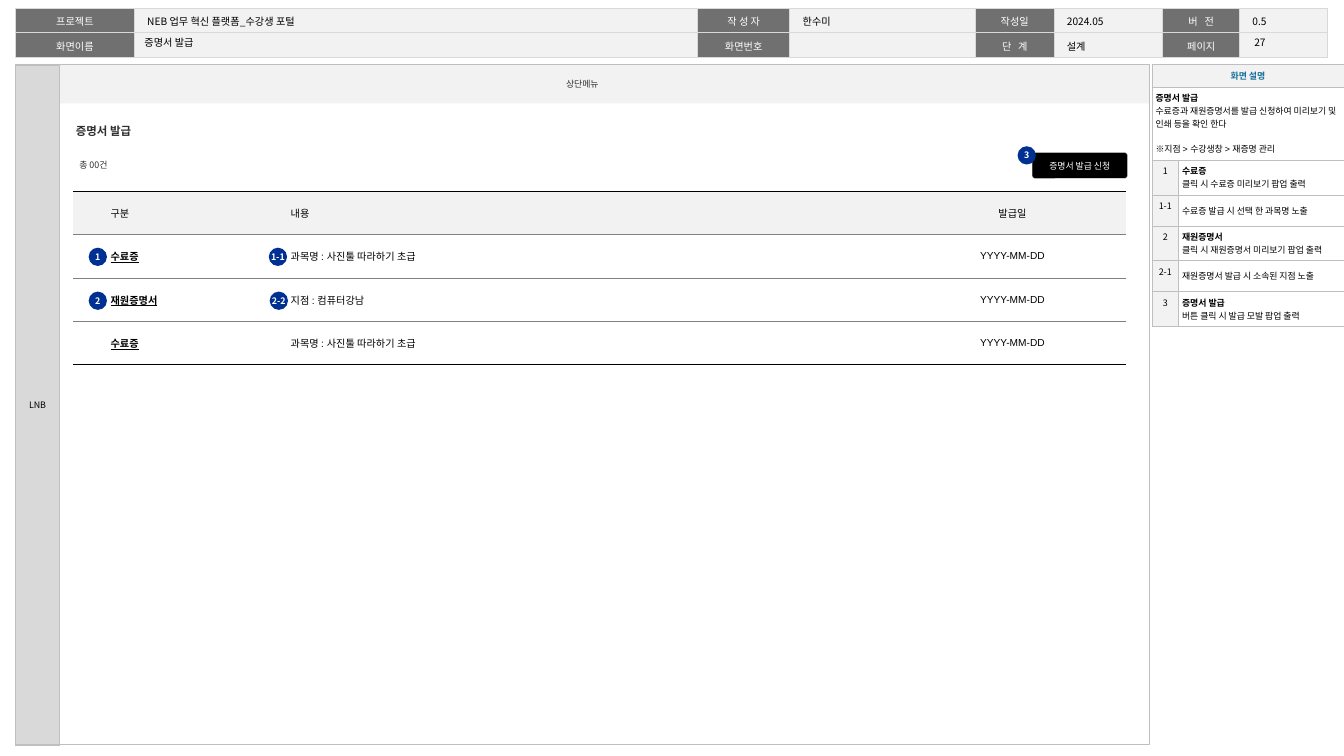
"""Build the certificate-issue screen specification slide."""
from lxml.etree import SubElement
from pptx import Presentation
from pptx.dml.color import RGBColor
from pptx.enum.shapes import MSO_SHAPE
from pptx.enum.text import MSO_ANCHOR, MSO_AUTO_SIZE, PP_ALIGN
from pptx.oxml.ns import qn
from pptx.util import Inches, Pt

COLORS = {
    "black": "000000", "white": "FFFFFF", "ink": "2E2E2E", "label": "707070",
    "pale": "F2F2F2", "menu": "D9D9D9", "edge": "BFBFBF", "rule": "808080",
    "teal": "176F9B", "badge": "003192",
}
NOTO, ARIAL = "Noto Sans CJK KR", "Arial"
LEFT, CENTER = PP_ALIGN.LEFT, PP_ALIGN.CENTER
TOP, MIDDLE = MSO_ANCHOR.TOP, MSO_ANCHOR.MIDDLE

TITLE = "증명서 발급"
PAGE = "27"
TOP_MENU = "상단메뉴"
SIDE_MENU = "LNB"
TOTAL = "총 00건"
APPLY = "증명서 발급 신청"
DOCUMENT = [
    ["프로젝트", "NEB 업무 혁신 플랫폼_수강생 포털", "작 성 자", "한수미",
     "작성일", "2024.05", "버 전", "0.5"],
    ["화면이름", "", "화면번호", "", "단 계", "설계", "페이지", ""],
]
WIDE_LABELS = ("버 전", "단 계")
CERTIFICATES = [
    ["", "구분", "내용", "발급일"],
    ["", "수료증", "과목명 : 사진툴 따라하기 초급", "YYYY-MM-DD"],
    ["", "재원증명서", "지점 : 컴퓨터강남", "YYYY-MM-DD"],
    ["", "수료증", "과목명 : 사진툴 따라하기 초급", "YYYY-MM-DD"],
]
GUIDE_TITLE = "화면 설명"
OVERVIEW = ["증명서 발급", "수료증과 재원증명서를 발급 신청하여 미리보기 및 인쇄 등을 확인 한다",
            "※지점 > 수강생창 > 재증명 관리"]
GUIDE = [
    ("1", ["수료증", "클릭 시 수료증 미리보기 팝업 출력"]),
    ("1-1", ["수료증 발급 시 선택 한 과목명 노출"]),
    ("2", ["재원증명서", "클릭 시 재원증명서 미리보기 팝업 출력"]),
    ("2-1", ["재원증명서 발급 시 소속된 지점 노출"]),
    ("3", ["증명서 발급", "버튼 클릭 시 발급 모발 팝업 출력"]),
]
BADGES = [("1", 0.97, 2.71), ("2", 0.97, 3.19), ("3", 11.13, 1.6),
          ("1-1", 2.94, 2.71), ("2-2", 2.95, 3.19)]


def rgb(name):
    return RGBColor.from_string(COLORS[name])


def write(host, lines, size=7, color="black", face=NOTO, align=LEFT, anchor=MIDDLE,
          insets=(0, 0, 0, 0), bold=False, underline=False, spacing=None, tracking=0):
    host.margin_left, host.margin_top, host.margin_right, host.margin_bottom = map(Inches, insets)
    host.vertical_anchor = anchor
    frame = getattr(host, "text_frame", host)
    for index, line in enumerate(lines):
        paragraph = frame.add_paragraph() if index else frame.paragraphs[0]
        paragraph.alignment = align
        if spacing:
            paragraph.line_spacing = spacing
        if not line:
            paragraph._p.get_or_add_endParaRPr().set("sz", str(size * 100))
            continue
        run = paragraph.add_run()
        run.text = line
        font = run.font
        font.size, font.name, font.underline = Pt(size), face, underline
        font.bold = bold or (index == 0 and len(lines) > 1)
        font.color.rgb = rgb(color)
        properties = run._r.get_or_add_rPr()
        SubElement(properties, qn("a:ea")).set("typeface", NOTO)
        if tracking:
            properties.set("spc", str(tracking))


def style_cell(cell, fill, **edges):
    properties = cell._tc.get_or_add_tcPr()
    for side in "LRTB":
        color, width = edges.get(side, (None, 0))
        line = SubElement(properties, qn(f"a:ln{side}"), w=str(Pt(width)))
        if color:
            SubElement(SubElement(line, qn("a:solidFill")), qn("a:srgbClr"), val=COLORS[color])
        else:
            SubElement(line, qn("a:noFill"))
    cell.fill.solid()
    cell.fill.fore_color.rgb = rgb(fill)


def boxed(color, width):
    return dict.fromkeys("LRTB", (color, width))


def add_grid(slide, left, top, widths, heights):
    table = slide.shapes.add_table(len(heights), len(widths), Inches(left), Inches(top),
                                   Inches(sum(widths)), Inches(sum(heights))).table
    table.first_row = table.horz_banding = False
    for column, width in zip(table.columns, widths):
        column.width = Inches(width)
    for row, height in zip(table.rows, heights):
        row.height = Inches(height)
    return table


def add_block(slide, kind, area, fill=None, line=None, width=0.25):
    block = slide.shapes.add_shape(kind, *map(Inches, area))
    block.shadow.inherit = False
    if fill:
        block.fill.solid()
        block.fill.fore_color.rgb = rgb(fill)
    else:
        block.fill.background()
    if line:
        block.line.color.rgb = rgb(line)
        block.line.width = Pt(width)
    else:
        block.line.fill.background()
    block.text_frame.word_wrap = False
    return block


def add_text(slide, area, text, **style):
    frame = slide.shapes.add_textbox(*map(Inches, area)).text_frame
    frame.word_wrap = True
    write(frame, [text], **style)


def add_document_header(slide):
    table = add_grid(slide, 0.17, 0.09, [1.3, 6.16, 1.01, 2.03, 0.86, 1.19, 0.84, 0.96], [0.27] * 2)
    for r, row in enumerate(DOCUMENT):
        for c, text in enumerate(row):
            label = c % 2 == 0
            cell = table.cell(r, c)
            style_cell(cell, "label" if label else "pale", **boxed("menu", 1))
            write(cell, [text], 8, "white" if label else "black", anchor=TOP, spacing=1.05,
                  align=CENTER if label else LEFT, insets=(0.14, 0.05, 0.14, 0.05),
                  tracking=180 if text in WIDE_LABELS else 0)


def add_screen_frame(slide):
    menu = add_block(slide, MSO_SHAPE.RECTANGLE, (0.17, 0.71, 12.4, 0.42), "pale")
    write(menu.text_frame, [TOP_MENU], color="ink", face=ARIAL, align=CENTER)
    side = add_grid(slide, 0.17, 0.71, [0.48], [7.44]).cell(0, 0)
    style_cell(side, "menu", **boxed("edge", 0.25))
    write(side, [SIDE_MENU], align=CENTER, insets=(0, 0.04, 0, 0.04))
    add_block(slide, MSO_SHAPE.RECTANGLE, (0.17, 0.71, 12.4, 7.44), line="edge", width=0.75)


def add_title(slide):
    title = slide.shapes.title
    title.left, title.top, title.width, title.height = map(Inches, (1.47, 0.38, 5.91, 0.16))
    title.text_frame.auto_size = MSO_AUTO_SIZE.NONE
    write(title.text_frame, [TITLE], 8, insets=(0.11, 0.05, 0.11, 0.05))
    slide.shapes._spTree.append(title._element)


def add_guide(slide):
    heights = [0.25, 0.8] + [0.38 if len(lines) > 1 else 0.34 for _, lines in GUIDE]
    table = add_grid(slide, 12.6, 0.7, [0.29, 1.81], heights)
    insets = (0.04, 0.05, 0.04, 0.05)
    for r in range(len(heights)):
        for c in range(2):
            shaded = r == 0 or (r > 1 and c == 0)
            style_cell(table.cell(r, c), "pale" if shaded else "white", **boxed("edge", 0.25))
    for r in range(2):
        table.cell(r, 0).merge(table.cell(r, 1))
    write(table.cell(0, 0), [GUIDE_TITLE], color="teal", align=CENTER, insets=insets, bold=True)
    overview = table.cell(1, 0)
    write(overview, OVERVIEW, face=ARIAL, anchor=TOP, insets=insets)
    overview.text_frame.paragraphs[-1].space_before = Pt(10.2)
    for r, (number, lines) in enumerate(GUIDE, 2):
        write(table.cell(r, 0), [number], align=CENTER, anchor=TOP, insets=insets)
        write(table.cell(r, 1), lines, insets=insets)


def add_certificates(slide):
    count = len(CERTIFICATES)
    table = add_grid(slide, 0.8, 2.09, [0.33, 1.97, 6.73, 2.49], [1.9 / count] * count)
    strong, thin = ("black", 1), ("rule", 0.25)
    for r, row in enumerate(CERTIFICATES):
        for c, text in enumerate(row):
            cell = table.cell(r, c)
            style_cell(cell, "white" if r else "pale", T=thin if r else strong,
                       B=strong if r == count - 1 else thin)
            date, link = c == 3, c == 1 and r > 0
            write(cell, [text], 8, face=ARIAL, align=CENTER if date else LEFT,
                  insets=(0 if date else 0.08, 0, 0, 0), bold=link, underline=link)


def main():
    deck = Presentation()
    deck.slide_width, deck.slide_height = Inches(14.7), Inches(8.27)
    slide = deck.slides.add_slide(deck.slide_layouts[5])
    add_document_header(slide)
    add_screen_frame(slide)
    add_title(slide)
    add_text(slide, (13.62, 0.38, 0.72, 0.16), PAGE, size=8, insets=(0.1, 0.05, 0.1, 0.05))
    add_guide(slide)
    add_text(slide, (0.83, 1.23, 1.98, 0.3), TITLE, size=9, color="ink", face=ARIAL,
             anchor=TOP, insets=(0, 0.05, 0, 0.05), bold=True, spacing=1.5)
    apply = add_block(slide, MSO_SHAPE.ROUNDED_RECTANGLE, (11.29, 1.67, 1.04, 0.28), "black", "edge")
    apply.adjustments[0] = 0.1
    write(apply.text_frame, [APPLY], color="white", face=ARIAL, align=CENTER,
          insets=(0.04, 0, 0.04, 0))
    add_text(slide, (0.77, 1.7, 0.54, 0.22), TOTAL, color="ink", anchor=TOP,
             insets=(0.1, 0.05, 0.1, 0.05))
    add_certificates(slide)
    for number, left, top in BADGES:
        badge = add_block(slide, MSO_SHAPE.OVAL, (left, top, 0.2, 0.2), "badge")
        write(badge.text_frame, [number], color="white", align=CENTER, bold=True)
    deck.save("out.pptx")


if __name__ == "__main__":
    main()
